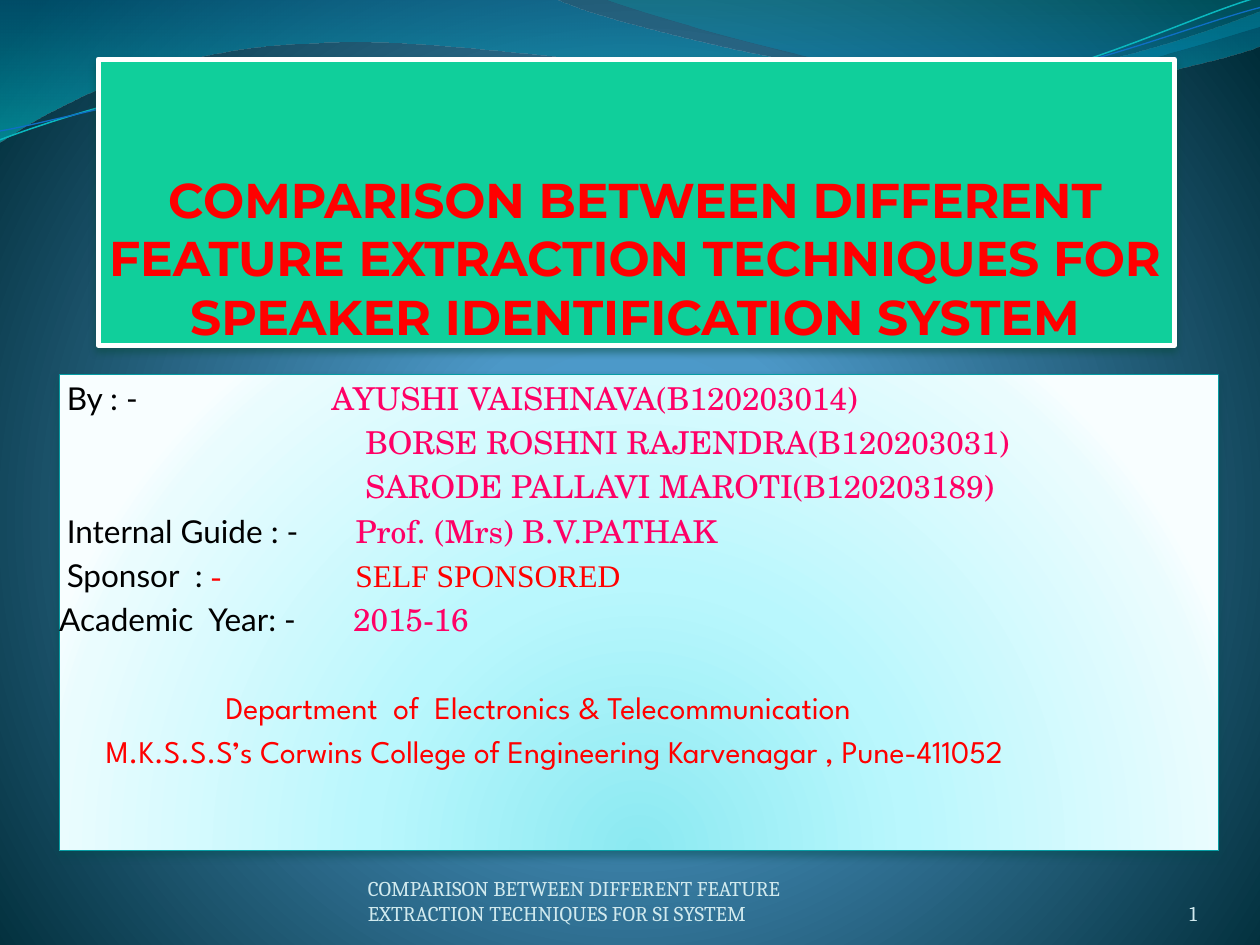
from lxml import etree
from pptx import Presentation
from pptx.dml.color import RGBColor
from pptx.enum.text import MSO_ANCHOR, MSO_AUTO_SIZE, PP_ALIGN
from pptx.oxml.ns import qn
from pptx.util import Inches, Pt

LEFT, CENTER, RIGHT = PP_ALIGN.LEFT, PP_ALIGN.CENTER, PP_ALIGN.RIGHT
TOP, BOTTOM = MSO_ANCHOR.TOP, MSO_ANCHOR.BOTTOM

RED = RGBColor(0xFF, 0x00, 0x00)
PINK = RGBColor(0xFF, 0x00, 0x66)
BLACK = RGBColor(0x00, 0x00, 0x00)
WHITE = RGBColor(0xFF, 0xFF, 0xFF)
GREEN = RGBColor(0x10, 0xCF, 0x9B)
TEAL = RGBColor(0x06, 0x9C, 0xA3)
PALE = RGBColor(0xD1, 0xEA, 0xEE)
GREEN_SHADOW = RGBColor(0x04, 0x4A, 0x37)
TEAL_SHADOW = RGBColor(0x02, 0x4B, 0x4E)
CYAN_LINE = RGBColor(0x0A, 0xB8, 0xBF)
BLUE_LINE = RGBColor(0x0F, 0x6F, 0xC6)

# Gradient stops: position %, colour, opacity %
BACKDROP = [(0, "4AA0D6", 100), (25, "4C98C7", 100), (100, "002C38", 100)]
PANEL = [(0, "8BE9F1", 100), (43, "B9F7FD", 100), (93, "EAFCFE", 100), (100, "F8FEFF", 100)]

# Waves: start point, then straight (2 numbers) or curved (6 numbers) segments
FILLED_WAVES = [
    ([(0, 0), (4.4, -0.01), (4.76, 0.17, 6.64, 0.63, 7.58, 0.63),
      (8.53, 0.63, 9.58, 0.26, 10, 0.09), (10.01, 0.36),
      (9.83, 0.44, 8.7, 0.76, 7.46, 0.75), (6.22, 0.75, 3.82, 0.28, 2.57, 0.34),
      (1.29, 0.36, 0.46, 0.83, -0.01, 1.13)],
     [(0, "0074A1", 45), (100, "00C6CF", 55)]),
    ([(4.79, -0.01), (5.09, 0.11, 6.82, 0.62, 7.69, 0.65),
      (8.56, 0.69, 9.61, 0.32, 10, 0.21), (10, 0)],
     [(0, "00A1A9", 30), (80, "008BBF", 45)]),
]
LINE_WAVES = [
    ([(0, 1.11), (0.48, 0.93, 1.58, 0.57, 2.77, 0.52),
      (3.95, 0.47, 5.93, 0.89, 7.13, 0.8), (8.33, 0.71, 9.38, 0.15, 9.98, -0.02)],
     CYAN_LINE, 0.85),
    ([(0, 1.04), (0.47, 0.96, 1.64, 0.61, 2.83, 0.56),
      (4.03, 0.51, 5.97, 0.84, 7.17, 0.75), (8.36, 0.67, 9.41, 0.21, 10, 0.06)],
     BLUE_LINE, 0.75),
]

TITLE = "COMPARISON BETWEEN DIFFERENT FEATURE EXTRACTION TECHNIQUES FOR SPEAKER IDENTIFICATION SYSTEM"
LABEL = ("Lato", BLACK)
VALUE = ("TeX Gyre Schola", PINK)
SPONSOR = ("Times New Roman", RED)
COLLEGE = ("League Spartan", RED)

# Detail lines: indent, space before, runs of text, style and letter spacing
GAP, SECTION_GAP = 3.6, 29
DETAILS = [
    (0.06, GAP, [("By : -", LABEL, 0), (" ", LABEL, 106),
                 ("AYUSHI VAISHNAVA(B120203014)", VALUE, 0)]),
    (2.43, GAP, [("BORSE ROSHNI RAJENDRA(B120203031)", VALUE, 0)]),
    (2.43, GAP, [("SARODE PALLAVI MAROTI(B120203189)", VALUE, 0)]),
    (0.06, GAP, [("Internal Guide : -", LABEL, 0), (" ", LABEL, 28),
                 ("Prof. (Mrs) B.V.PATHAK", VALUE, 0)]),
    (0.06, GAP, [("Sponsor  : ", LABEL, 0), ("-", SPONSOR, 0), (" ", SPONSOR, 72),
                 ("SELF SPONSORED", SPONSOR, 0)]),
    (0, GAP, [("Academic  Year: -", LABEL, 0), (" ", LABEL, 28), ("2015-16", VALUE, 0)]),
    (1.32, SECTION_GAP, [("Department  of  Electronics & Telecommunication", COLLEGE, 0)]),
    (0.37, GAP, [("M.K.S.S.S’s Corwins College of Engineering Karvenagar , Pune-411052",
                  COLLEGE, 0)]),
]
FOOTERS = [
    (2.92, 3.67, LEFT, "COMPARISON BETWEEN DIFFERENT FEATURE EXTRACTION TECHNIQUES FOR SI SYSTEM"),
    (8.67, 0.83, RIGHT, "1"),
]


def child(parent, tag, **attributes):
    return etree.SubElement(parent, qn(tag), {k: str(v) for k, v in attributes.items()})


def fill_gradient(fill, holder, stops, focus=None):
    """Linear downwards, or circular around focus (left, top, right, bottom %)."""
    fill.solid()
    solid = holder.find(qn("a:solidFill"))
    gradient = etree.Element(qn("a:gradFill"), rotWithShape="1")
    stop_list = child(gradient, "a:gsLst")
    for position, color, opacity in stops:
        stop = child(stop_list, "a:gs", pos=position * 1000)
        tint = child(stop, "a:srgbClr", val=color)
        if opacity < 100:
            child(tint, "a:alpha", val=opacity * 1000)
    if focus:
        circle = child(gradient, "a:path", path="circle")
        child(circle, "a:fillToRect", **{k: v * 1000 for k, v in zip("ltrb", focus)})
    else:
        child(gradient, "a:lin", ang=5400000, scaled=1)
    holder.replace(solid, gradient)


def outline(shape, color, width):
    shape.line.color.rgb = color
    shape.line.width = Pt(width)


def drop_shadow(shape, color):
    effects = child(shape._element.spPr, "a:effectLst")
    shadow = child(effects, "a:outerShdw", blurRad=Pt(4.5), dist=Pt(3),
                   dir=5400000, rotWithShape=0)
    child(child(shadow, "a:srgbClr", val=color), "a:alpha", val=48000)


def add_wave(slide, segments, closed):
    """Draw through all points, then join each curve's three points into a Bezier."""
    points = [(Inches(x), Inches(y)) for segment in segments
              for x, y in zip(segment[::2], segment[1::2])]
    builder = slide.shapes.build_freeform(*points[0])
    builder.add_line_segments(points[1:], close=closed)
    wave = builder.convert_to_shape()
    wave.shadow.inherit = False
    steps = iter(list(wave._element.iter(qn("a:lnTo"))))
    for segment in segments[1:]:
        first = next(steps)
        if len(segment) == 6:
            curve = etree.Element(qn("a:cubicBezTo"))
            first.addprevious(curve)
            for step in (first, next(steps), next(steps)):
                curve.append(step[0])
                step.getparent().remove(step)
    return wave


def place(shape, left, top, width, height):
    shape.left, shape.top = Inches(left), Inches(top)
    shape.width, shape.height = Inches(width), Inches(height)


def set_frame(frame, anchor, right=0, vertical=0):
    frame.word_wrap = True
    frame.auto_size = MSO_AUTO_SIZE.NONE
    frame.vertical_anchor = anchor
    frame.margin_left, frame.margin_right = 0, Inches(right)
    frame.margin_top = frame.margin_bottom = Inches(vertical)


def add_run(paragraph, text, font, color, size, bold=False, spacing=0):
    run = paragraph.add_run()
    run.text = text
    run.font.name, run.font.size, run.font.bold = font, Pt(size), bold
    run.font.color.rgb = color
    if spacing:
        run._r.get_or_add_rPr().set("spc", str(spacing * 100))


prs = Presentation()
prs.slide_width, prs.slide_height = Inches(10), Inches(7.5)
slide = prs.slides.add_slide(prs.slide_layouts[0])
title, details = slide.placeholders

# Background and waves
backdrop = slide.background.fill
fill_gradient(backdrop, slide._element.cSld.find(qn("p:bg")).find(qn("p:bgPr")),
              BACKDROP, (10, 110, 10, 100))
for segments, stops in FILLED_WAVES:
    wave = add_wave(slide, segments, True)
    fill_gradient(wave.fill, wave._element.spPr, stops)
    wave.line.fill.background()
for segments, color, width in LINE_WAVES:
    wave = add_wave(slide, segments, False)
    wave.fill.background()
    outline(wave, color, width)
for placeholder in (title, details):  # bring in front of the waves
    slide.shapes._spTree.append(placeholder._element)

# Title
place(title, 0.78, 0.47, 8.54, 2.27)
title.fill.solid()
title.fill.fore_color.rgb = GREEN
outline(title, WHITE, 3)
drop_shadow(title, GREEN_SHADOW)
set_frame(title.text_frame, BOTTOM, right=0.02)
heading = title.text_frame.paragraphs[0]
heading.alignment = CENTER
add_run(heading, TITLE, "Montserrat", RED, 27.9, True)

# Project details
place(details, 0.47, 2.97, 9.2, 3.78)
fill_gradient(details.fill, details._element.spPr, PANEL, (50, 130, 50, -30))
outline(details, TEAL, 0.75)
drop_shadow(details, TEAL_SHADOW)
set_frame(details.text_frame, TOP, right=0.02, vertical=0.04)
for number, (indent, gap, runs) in enumerate(DETAILS):
    frame = details.text_frame
    line = frame.add_paragraph() if number else frame.paragraphs[0]
    line.alignment, line.space_before = LEFT, Pt(gap)
    properties = line._p.get_or_add_pPr()
    properties.set("marL", "0")
    properties.set("indent", str(Inches(indent)))
    for text, (font, color), spacing in runs:
        add_run(line, text, font, color, 18, spacing=spacing)

# Footer and slide number
for left, width, alignment, text in FOOTERS:
    footer = slide.shapes.add_textbox(Inches(left), Inches(6.95), Inches(width), Inches(0.4))
    set_frame(footer.text_frame, BOTTOM)
    footer.text_frame.paragraphs[0].alignment = alignment
    add_run(footer.text_frame.paragraphs[0], text, "Cambria", PALE, 12)

prs.save("out.pptx")
